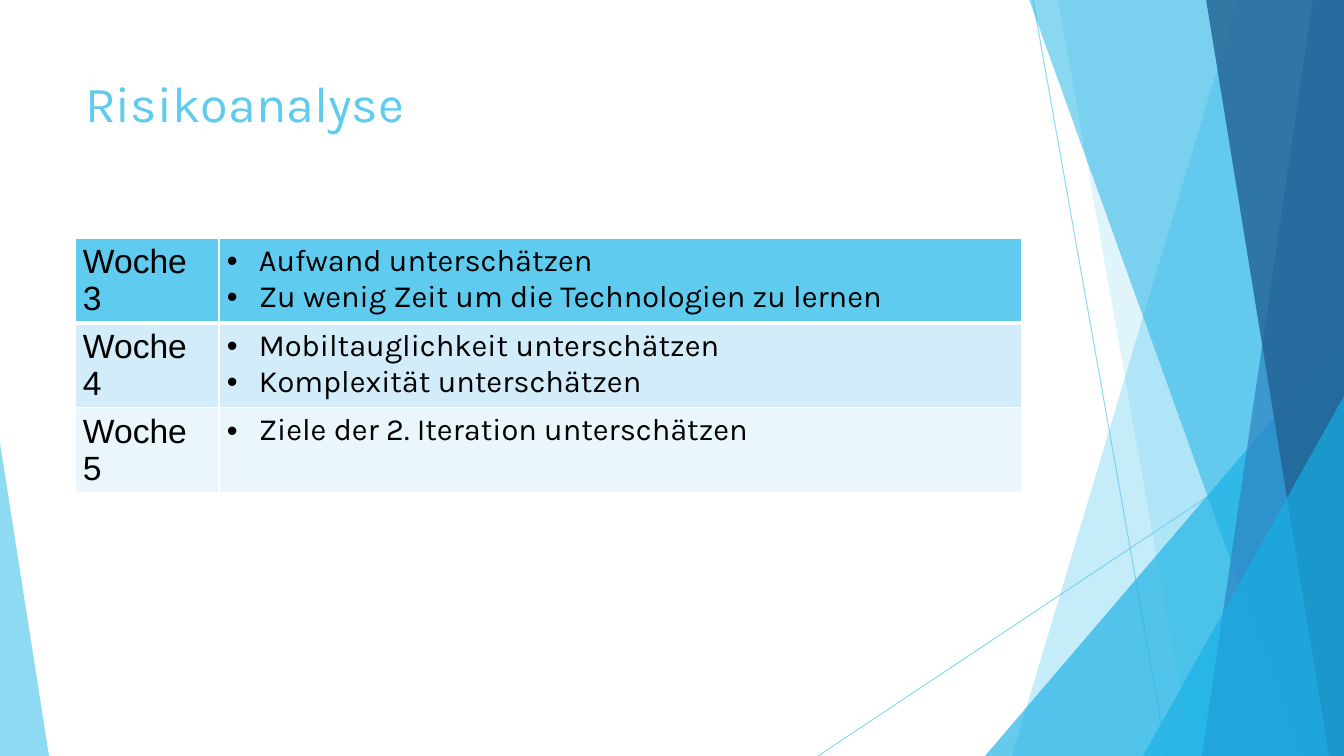
from lxml import etree
from pptx import Presentation
from pptx import util as u
from pptx.dml.color import RGBColor
from pptx.enum import shapes, text
from pptx.oxml.ns import qn

WIDTH, HEIGHT = 1344, 756
SCALE = 914400 / 100.8
SKY, CYAN, BLUE, NAVY = "5FCBEF", "17B0E4", "2E83C3", "226292"

TITLE = "Risikoanalyse"
TITLE_BOX = (75, 67, 947, 145)
RISKS = [
    ("Woche 3", ["Aufwand unterschätzen", "Zu wenig Zeit um die Technologien zu lernen"], SKY),
    ("Woche 4", ["Mobiltauglichkeit unterschätzen", "Komplexität unterschätzen"], "D2ECF9"),
    ("Woche 5", ["Ziele der 2. Iteration unterschätzen"], "EAF6FC"),
]
TABLE_LEFT, TABLE_TOP, ROW_HEIGHT = 75, 238, 84
COLUMN_WIDTHS = (144, 803)
BULLET_INDENT = 32

THIN_LINES = [(1033, 0, 1167, 756), (1344, 406, 818, 756)]
# kind, geometry, colour, opacity
FACETS = [
    ("band", (1238, 1012), SKY, 36),
    ("band", (1058, 1192), SKY, 20),
    ("triangle", (985, 336, 359, 420, 1), CYAN, 66),
    ("band", (1029, 1301), CYAN, 50),
    ("band", (1313, 1202), BLUE, 70),
    ("band", (1206, 1329), NAVY, 80),
    ("triangle", (1143, 396, 201, 360, 1), CYAN, 66),
    ("triangle", (0, 443, 49, 313, 0), SKY, 70),
]


def px(*lengths):
    return [u.Emu(round(length * SCALE)) for length in lengths]


def colour(value):
    return RGBColor.from_string(value)


def set_opacity(properties, percent):
    for node in properties.iter(qn("a:srgbClr")):
        etree.SubElement(node, qn("a:alpha"), val=str(percent * 1000))


def style_run(paragraph, size, font, value):
    for run in paragraph.runs:
        run.font.size = u.Pt(size)
        run.font.name = font
        run.font.color.rgb = colour(value)


def add_thin_line(slide, ends):
    line = slide.shapes.add_connector(shapes.MSO_CONNECTOR.STRAIGHT, *px(*ends))
    line.line.color.rgb = colour(SKY)
    line.line.width = u.Pt(0.75)
    properties = line._element.spPr
    set_opacity(properties, 70)
    etree.SubElement(properties, qn("a:effectLst"))


def add_facet(slide, kind, geometry, value, opacity):
    if kind == "band":
        top_x, bottom_x = geometry
        builder = slide.shapes.build_freeform(top_x, -1, SCALE)
        builder.add_line_segments([(WIDTH, -1), (WIDTH, HEIGHT), (bottom_x, HEIGHT)])
        shape = builder.convert_to_shape()
    else:
        *box, apex = geometry
        shape = slide.shapes.add_shape(shapes.MSO_SHAPE.ISOSCELES_TRIANGLE, *px(*box))
        shape.adjustments[0] = apex
    shape.shadow.inherit = False
    shape.fill.solid()
    shape.fill.fore_color.rgb = colour(value)
    shape.line.fill.background()
    set_opacity(shape._element.spPr, opacity)


def add_bullet(paragraph):
    properties = paragraph._p.get_or_add_pPr()
    indent = px(BULLET_INDENT)[0]
    properties.set("marL", str(indent))
    properties.set("indent", str(-indent))
    etree.SubElement(properties, qn("a:buFont"), typeface="Arial")
    etree.SubElement(properties, qn("a:buChar"), char="•")


def set_borders(cell, widths):
    properties = cell._tc.get_or_add_tcPr()
    for position, (side, points) in enumerate(zip("LRTB", widths)):
        border = etree.Element(qn(f"a:ln{side}"), w=str(u.Pt(points)))
        fill = etree.SubElement(border, qn("a:solidFill"))
        etree.SubElement(fill, qn("a:srgbClr"), val="FFFFFF")
        properties.insert(position, border)


def fill_cell(cell, lines, size, font, value, widths, bulleted):
    cell.margin_left, cell.margin_top, cell.margin_right, cell.margin_bottom = px(8, 5, 8, 5)
    cell.fill.solid()
    cell.fill.fore_color.rgb = colour(value)
    cell.text_frame.text = "\n".join(lines)
    for paragraph in cell.text_frame.paragraphs:
        style_run(paragraph, size, font, "000000")
        if bulleted:
            add_bullet(paragraph)
    set_borders(cell, widths)


def add_risk_table(slide):
    box = (TABLE_LEFT, TABLE_TOP, sum(COLUMN_WIDTHS), ROW_HEIGHT * len(RISKS))
    table = slide.shapes.add_table(len(RISKS), len(COLUMN_WIDTHS), *px(*box)).table
    for column, width in zip(table.columns, px(*COLUMN_WIDTHS)):
        column.width = width
    for index, (week, risks, value) in enumerate(RISKS):
        widths = (1, 1, 3 if index == 1 else 1, 3 if index == 0 else 1)
        fill_cell(table.cell(index, 0), [week], 24, "Arial", value, widths, False)
        fill_cell(table.cell(index, 1), risks, 22, "Karla", value, widths, True)


def set_title(slide):
    title = slide.shapes.title
    title.left, title.top, title.width, title.height = px(*TITLE_BOX)
    frame = title.text_frame
    frame.text = TITLE
    frame.word_wrap = True
    frame.vertical_anchor = text.MSO_ANCHOR.TOP
    paragraph = frame.paragraphs[0]
    paragraph.alignment = text.PP_ALIGN.LEFT
    style_run(paragraph, 36, "Karla", SKY)


def main():
    presentation = Presentation()
    presentation.slide_width, presentation.slide_height = px(WIDTH, HEIGHT)
    slide = presentation.slides.add_slide(presentation.slide_layouts[5])
    for ends in THIN_LINES:
        add_thin_line(slide, ends)
    for facet in FACETS:
        add_facet(slide, *facet)
    set_title(slide)
    add_risk_table(slide)
    presentation.save("out.pptx")


if __name__ == "__main__":
    main()
